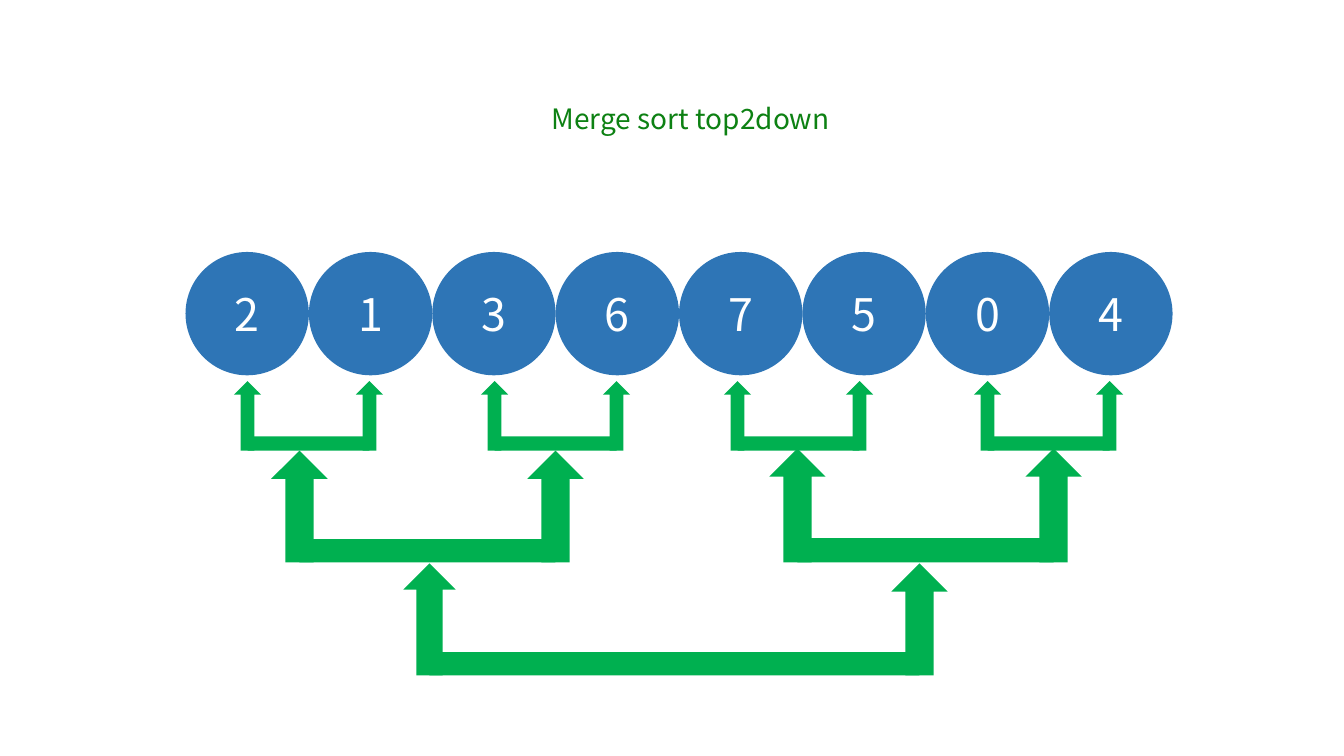
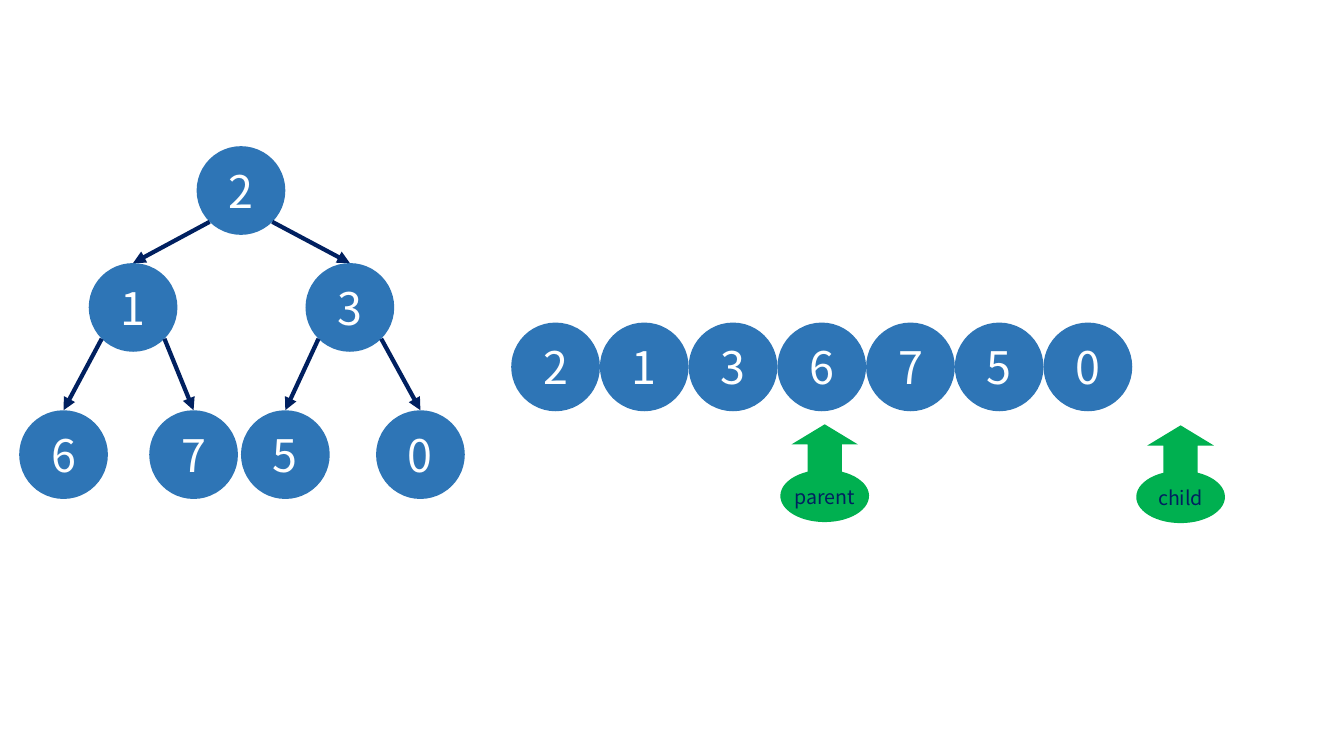
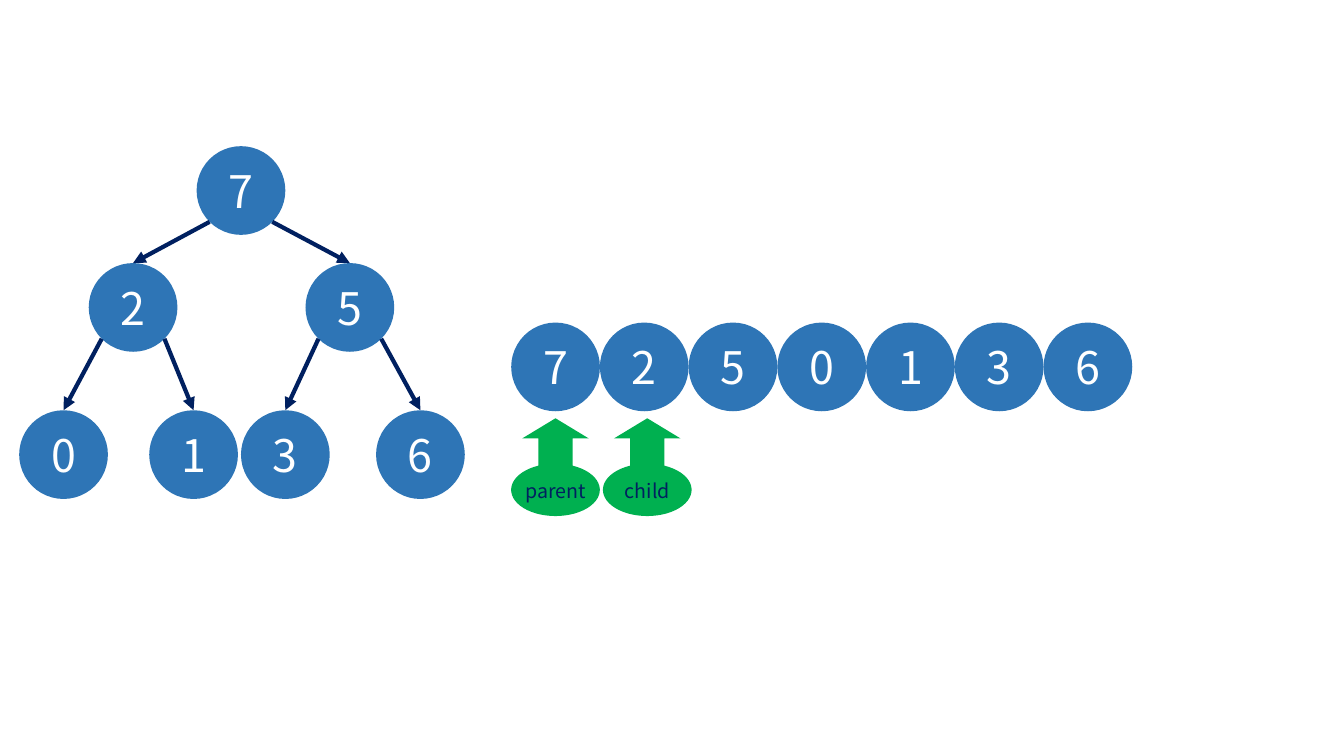
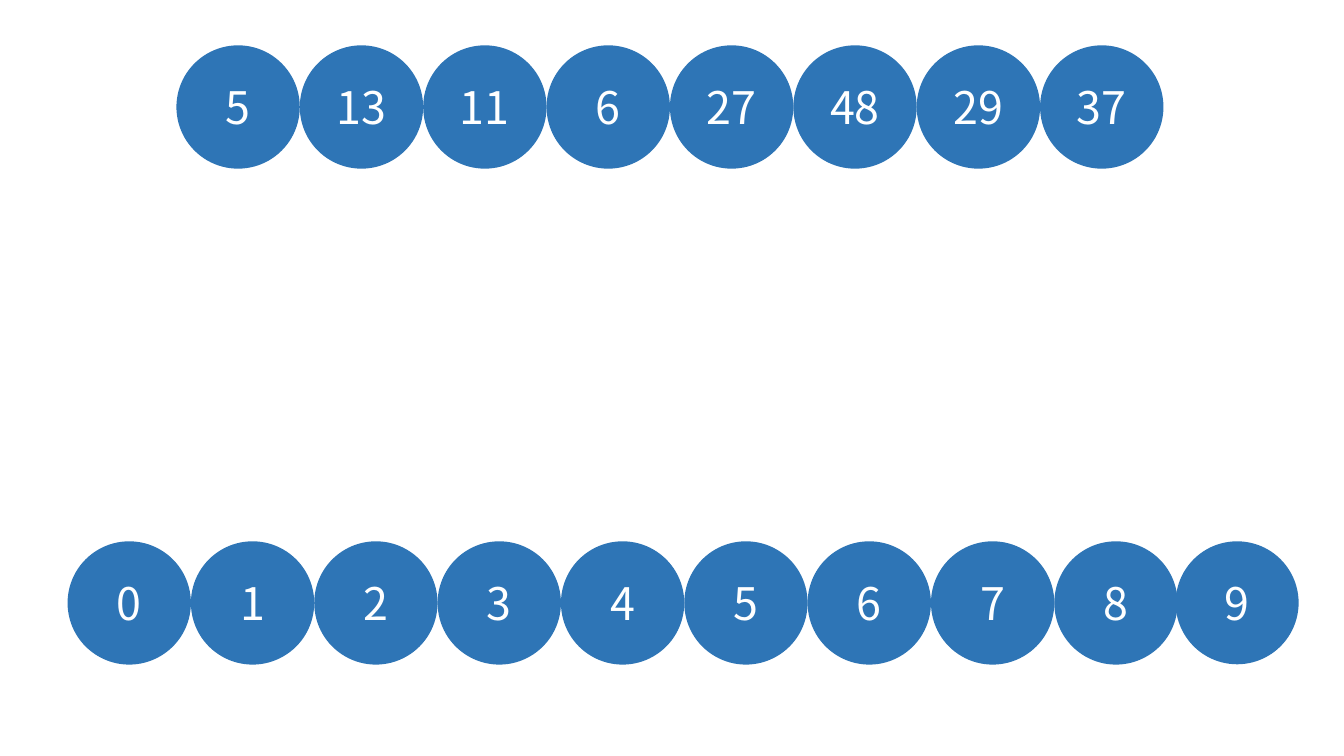
import math
from dataclasses import dataclass

from pptx import Presentation
from pptx.dml.color import RGBColor
from pptx.enum import dml, shapes, text
from pptx.oxml import ns, xmlchemy
from pptx.util import Pt

PX = 9144
SLIDE_SIZE = (1333, 750)
TITLE_ONLY, BLANK = 5, 6


@dataclass(frozen=True)
class Theme:
    font: str = "Noto Sans CJK SC"
    node: str = "2E75B6"
    accent: str = "00B050"
    dark: str = "002060"
    light: str = "FFFFFF"
    title: str = "0D8113"
    node_pt: int = 32
    title_pt: int = 20
    label_pt: int = 14
    edge_pt: int = 3


THEME = Theme()

TITLE = ("Merge sort top2down", (537, 95, 362, 44))
MERGE_ROW = ("2 1 3 6 7 5 0 4", 184, 250, 979)
MERGE_BRACKETS = [
    *[dict(left=x, top=378, height=69, step=121, widths=(27, 27), bar=14)
      for x in (232, 477, 718, 966)],
    dict(left=269, top=447, height=111, step=254, widths=(56, 56), bar=23),
    dict(left=763, top=445, height=113, step=254, widths=(56, 56), bar=24),
    dict(left=400, top=559, height=111, step=484, widths=(52, 56), bar=23),
]

NODE = 88
TREE_SPOTS = [(195, 145), (88, 261), (303, 261),
              (19, 407), (148, 407), (239, 407), (373, 407)]
HEAP_ROW = (507, 320, 7 * NODE)
HEAPS = [
    ("2 1 3 6 7 5 0", [("parent", 774, 421), ("child", 1127, 422)]),
    ("7 2 5 0 1 3 6", [("parent", 507, 415), ("child", 598, 415)]),
]

RADIX_ROWS = [
    ("5 13 11 6 27 48 29 37", 175, 45, 979),
    ("0 1 2 3 4 5 6 7 8", 67, 537, 1101),
    ("9", 1166, 537, 122),
]


def emu(*lengths):
    return [round(n * PX) for n in lengths]


def rgb(value):
    return RGBColor.from_string(value)


def paint(sp, color):
    sp.shadow.inherit = False
    sp.fill.solid()
    sp.fill.fore_color.rgb = rgb(color)
    sp.line.fill.background()


def write(sp, words, size, color, align=text.PP_ALIGN.CENTER):
    tf = sp.text_frame
    tf.text = words
    tf.vertical_anchor = text.MSO_ANCHOR.MIDDLE
    p = tf.paragraphs[0]
    p.alignment = align
    font = p.runs[0].font
    font.name = THEME.font
    font.size = Pt(size)
    font.color.rgb = rgb(color)
    return tf


def add_block(parent, kind, color, *box):
    sp = parent.shapes.add_shape(kind, *emu(*box))
    paint(sp, color)
    return sp


def add_title(s, words, box):
    sp = s.shapes.title
    sp.left, sp.top, sp.width, sp.height = emu(*box)
    tf = write(sp, words, THEME.title_pt, THEME.title, text.PP_ALIGN.LEFT)
    tf.auto_size = text.MSO_AUTO_SIZE.NONE


def add_node(s, label, left, top, size):
    sp = add_block(s, shapes.MSO_SHAPE.OVAL, THEME.node, left, top, size, size)
    write(sp, label, THEME.node_pt, THEME.light)
    return sp


def add_row(s, labels, left, top, width):
    labels = labels.split()
    size = width / len(labels)
    for i, label in enumerate(labels):
        add_node(s, label, left + i * size, top, size)


def add_bracket(s, left, top, height, step, widths, bar):
    group = s.shapes.add_group_shape()
    lefts = (left, left + step)
    for x, width in zip(lefts, widths):
        add_block(group, shapes.MSO_SHAPE.UP_ARROW, THEME.accent, x, top, width, height)
    start, end = (x + width / 2 for x, width in zip(lefts, widths))
    add_block(group, shapes.MSO_SHAPE.RECTANGLE, THEME.accent,
              start, top + height - bar, end - start, bar)


def add_edge(s, spot, child, side):
    center, reach = NODE / 2, NODE / 2 * math.sqrt(0.5)
    x, y = emu(spot[0] + center + side * reach, spot[1] + center + reach)
    cx = s.shapes.add_connector(shapes.MSO_CONNECTOR.STRAIGHT, x, y, x, y)
    cx.end_connect(child, 0)
    cx.line.width = Pt(THEME.edge_pt)
    cx.line.color.rgb = rgb(THEME.dark)
    cx.line.dash_style = dml.MSO_LINE.SOLID
    tail = xmlchemy.OxmlElement("a:tailEnd")
    tail.set("type", "triangle")
    cx.line._get_or_add_ln().append(tail)
    cx._element.find(ns.qn("p:spPr")).append(xmlchemy.OxmlElement("a:effectLst"))


def add_tree(s, labels):
    nodes = [add_node(s, label, *spot, NODE)
             for label, spot in zip(labels.split(), TREE_SPOTS)]
    for i, child in enumerate(nodes[1:]):
        add_edge(s, TREE_SPOTS[i // 2], child, 1 if i % 2 else -1)


def pointer_outline():
    mid, center, rx, ry = 44, 71, 44, 26
    head, neck, shaft = 33, 20, 17
    steps = 48
    start = -math.acos(shaft / rx)
    sweep = math.pi - 2 * start
    angles = [start + sweep * i / steps for i in range(steps + 1)]
    oval = [(mid + rx * math.cos(a), center + ry * math.sin(a)) for a in angles]
    return [(mid, 0), (mid + head, neck), (mid + shaft, neck), *oval,
            (mid - shaft, neck), (mid - head, neck)]


def add_pointer(s, label, left, top):
    first, *rest = [emu(*point) for point in pointer_outline()]
    builder = s.shapes.build_freeform(*first, scale=1.0)
    builder.add_line_segments(rest, close=True)
    sp = builder.convert_to_shape(*emu(left, top))
    paint(sp, THEME.accent)
    tf = write(sp, label, THEME.label_pt, THEME.dark)
    tf.margin_left = tf.margin_right = tf.margin_bottom = 0
    tf.margin_top = 46 * PX


def main():
    prs = Presentation()
    prs.slide_width, prs.slide_height = emu(*SLIDE_SIZE)

    s = prs.slides.add_slide(prs.slide_layouts[TITLE_ONLY])
    add_title(s, *TITLE)
    add_row(s, *MERGE_ROW)
    for bracket in MERGE_BRACKETS:
        add_bracket(s, **bracket)

    for labels, pointers in HEAPS:
        s = prs.slides.add_slide(prs.slide_layouts[BLANK])
        add_row(s, labels, *HEAP_ROW)
        add_tree(s, labels)
        for pointer in pointers:
            add_pointer(s, *pointer)

    s = prs.slides.add_slide(prs.slide_layouts[BLANK])
    for row in RADIX_ROWS:
        add_row(s, *row)

    prs.save("out.pptx")


if __name__ == "__main__":
    main()
